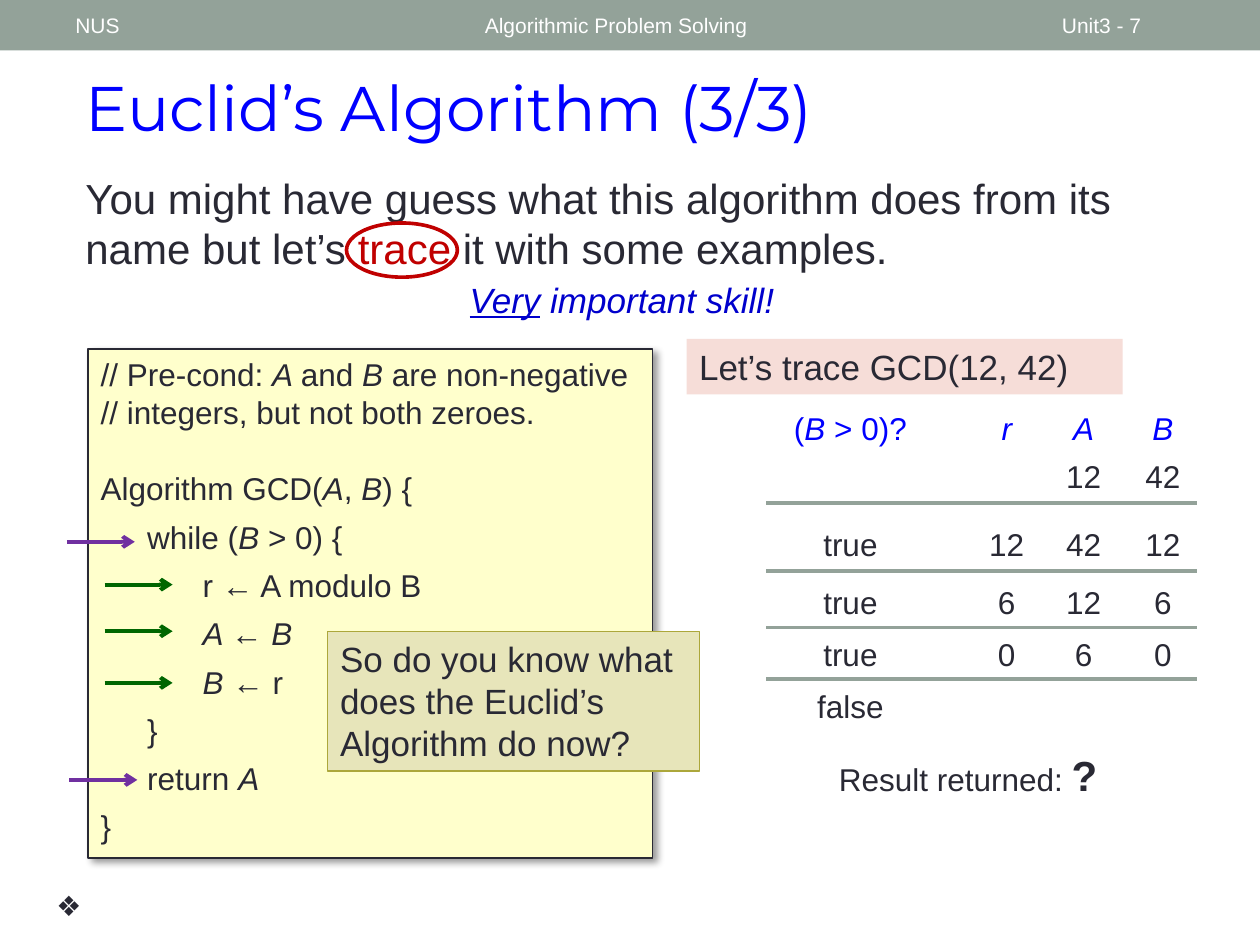
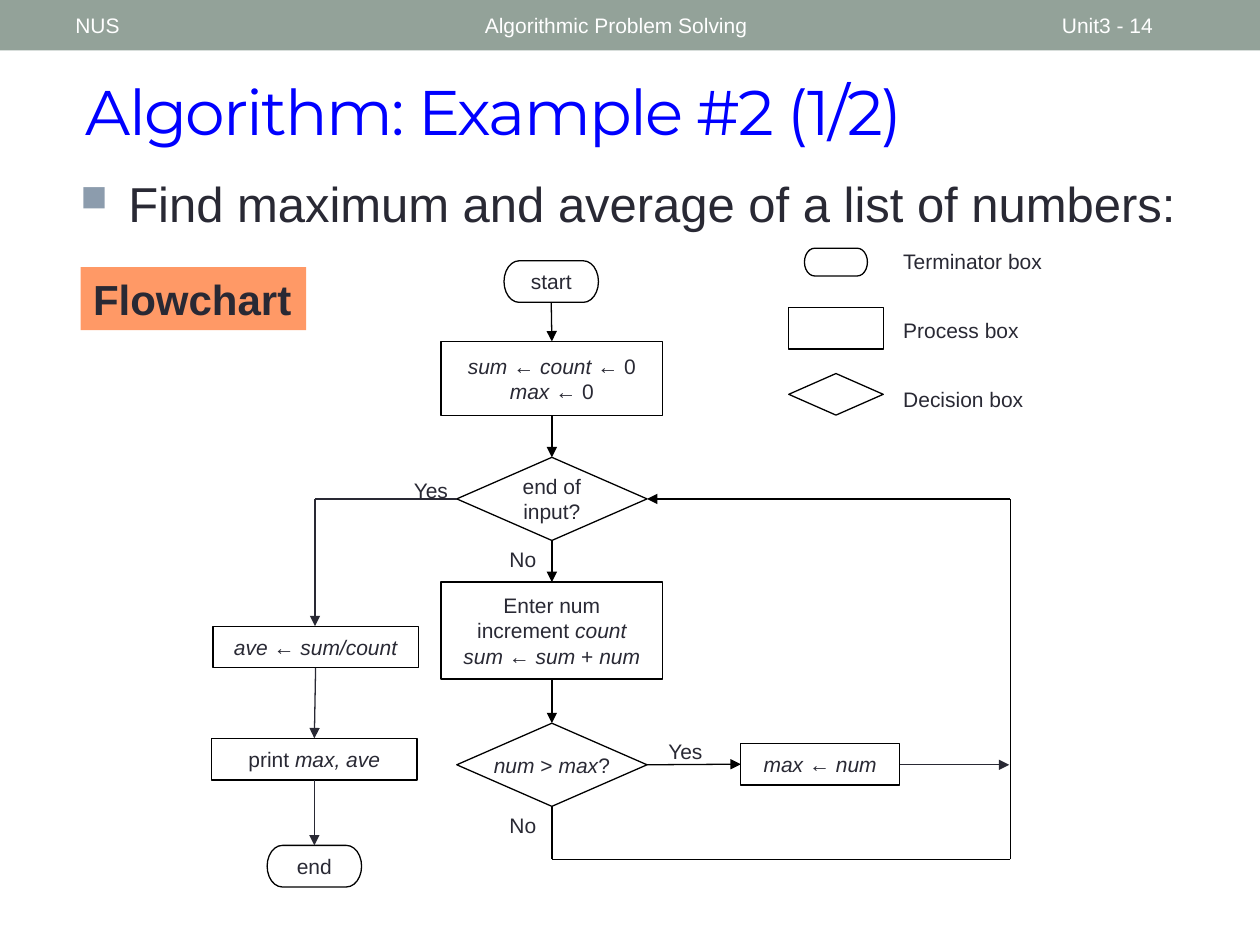
import lxml.etree
import pptx
import pptx.dml.color
import pptx.enum.shapes
import pptx.enum.text
import pptx.oxml.ns
import pptx.util

SHAPE = pptx.enum.shapes.MSO_SHAPE
LEFT, CENTER = pptx.enum.text.PP_ALIGN.LEFT, pptx.enum.text.PP_ALIGN.CENTER
TOP, MIDDLE = pptx.enum.text.MSO_ANCHOR.TOP, pptx.enum.text.MSO_ANCHOR.MIDDLE
Pt = pptx.util.Pt
rgb = pptx.dml.color.RGBColor.from_string
qn = pptx.oxml.ns.qn
SubElement = lxml.etree.SubElement

INK, WHITE, BLACK = "292934", "FFFFFF", "000000"
SAGE, BLUE, RED = "93A299", "0000FF", "C00000"
GREEN, PURPLE = "006600", "7030A0"

presentation = pptx.Presentation()
presentation.slide_width = pptx.util.Inches(10)
presentation.slide_height = pptx.util.Inches(7.5)
COLUMN = presentation.slide_width / 100
ROW = presentation.slide_height / 75


def add_box(slide, place, lines=(), size=12, color=INK, align=LEFT, anchor=TOP,
            kind=None, fill=None, outline=None, weight=0.75):
    """Add a text box, or a shape of the given kind, placed in grid columns and rows.

    Text between asterisks is italic.
    """
    left, top, width, height = place
    frame = [round(n) for n in (left * COLUMN, top * ROW, width * COLUMN, height * ROW)]
    if kind is None:
        box = slide.shapes.add_textbox(*frame)
    else:
        box = slide.shapes.add_shape(kind, *frame)
        box.shadow.inherit = False
        if fill:
            box.fill.solid()
            box.fill.fore_color.rgb = rgb(fill)
        else:
            box.fill.background()
        if outline:
            box.line.color.rgb = rgb(outline)
            box.line.width = Pt(weight)
        else:
            box.line.fill.background()
    text_frame = box.text_frame
    text_frame.word_wrap = True
    text_frame.vertical_anchor = anchor
    for index, line in enumerate(lines):
        paragraph = text_frame.add_paragraph() if index else text_frame.paragraphs[0]
        paragraph.alignment = align
        paragraph.font.name = "Arial"
        paragraph.font.size = Pt(size)
        paragraph.font.color.rgb = rgb(color)
        for position, piece in enumerate(line.split("*")):
            if piece:
                run = paragraph.add_run()
                run.text = piece
                if position % 2:
                    run.font.italic = True
    return box


def add_line(slide, start, end, color=BLACK, weight=0.75, head=None):
    """Add a straight line between two grid points, with an optional arrowhead at the end."""
    (x1, y1), (x2, y2) = start, end
    line = slide.shapes.add_connector(
        pptx.enum.shapes.MSO_CONNECTOR.STRAIGHT,
        round(x1 * COLUMN), round(y1 * ROW), round(x2 * COLUMN), round(y2 * ROW))
    line.line.color.rgb = rgb(color)
    line.line.width = Pt(weight)
    if head:
        SubElement(line.get_or_add_ln(), qn("a:tailEnd"), type=head)
    SubElement(line.element.spPr, qn("a:effectLst"))
    return line


# Shared look: header band on the layout, title and header texts on each slide
layout = presentation.slide_layouts[5]
for placeholder in list(layout.placeholders)[1:]:
    placeholder.element.getparent().remove(placeholder.element)

slides = []
for title_text, title_top, number in (("Euclid’s Algorithm (3/3)", 4.7, 7),
                                      ("Algorithm: Example #2 (1/2)", 5, 14)):
    slide = presentation.slides.add_slide(layout)
    slides.append(slide)
    if len(slides) == 1:
        band = add_box(slide, (0, 0, 100, 4), kind=SHAPE.RECTANGLE, fill=SAGE)
        layout.shapes.element.insert(2, band.element)
    title = slide.shapes.title
    title.left, title.top = round(5.8 * COLUMN), round(title_top * ROW)
    title.width, title.height = round(89.2 * COLUMN), round(7.5 * ROW)
    title.text_frame.text = title_text
    title.text_frame.vertical_anchor = MIDDLE
    paragraph = title.text_frame.paragraphs[0]
    paragraph.alignment = LEFT
    paragraph.font.name = "Montserrat"
    paragraph.font.size = Pt(36)
    paragraph.font.color.rgb = rgb(BLUE)
    for text, left, width in (("NUS", 5, 31.7),
                              ("Algorithmic Problem Solving", 37.5, 45),
                              (f"Unit3 - {number}", 83.3, 11.7)):
        add_box(slide, (left, 0.2, width, 3.6), [text], color=WHITE, anchor=MIDDLE)
euclid, flowchart = slides

# Slide 1: introduction
intro = add_box(euclid, (5.8, 13.2, 83.7, 9.1),
                ["You might have guess what this algorithm does from its name "
                 "but let’s *trace* it with some examples."], size=24)
trace_run = intro.text_frame.paragraphs[0].runs[1]
trace_run.font.italic = False
trace_run.font.color.rgb = rgb(RED)
add_box(euclid, (27.5, 17.7, 8.8, 4.3), kind=SHAPE.OVAL, outline=RED, weight=2.08)
skill = add_box(euclid, (36.3, 21.6, 31.4, 4.4), ["*Very* important skill!"], 20, "0000CC")
skill.text_frame.paragraphs[0].font.italic = True
skill.text_frame.paragraphs[0].runs[0].font.underline = True

# Slide 1: code listing as (indent in columns, space before in points, text)
code_lines = (
    (0, 0, "// Pre-cond: *A *and *B *are non-negative"),
    (0, 0, "// integers, but not both zeroes."),
    (0, 22, "Algorithm GCD(*A*, *B*) {"),
    (3.7, 6, "while (*B* > 0) {"),
    (8.1, 6, "r ← A modulo B"),
    (8.1, 6, "*A *← *B*"),
    (8.1, 6, "*B* ← r"),
    (3.7, 6, "}"),
    (3.7, 6, "return *A*"),
    (0, 6, "}"),
)
code = add_box(euclid, (7, 27.7, 44.8, 40.4), [text for _, _, text in code_lines], 18,
               kind=SHAPE.RECTANGLE, fill="FFFFCC", outline=INK, weight=1)
for paragraph, (indent, space, _) in zip(code.text_frame.paragraphs, code_lines):
    paragraph._p.get_or_add_pPr().set("marL", str(round(indent * COLUMN)))
    paragraph.space_before = Pt(space)
shadow = SubElement(code.element.spPr.find(qn("a:effectLst")), qn("a:outerShdw"),
                    blurRad=str(Pt(4)), dist=str(Pt(3)), dir="2700000", algn="tl")
shadow_color = SubElement(shadow, qn("a:srgbClr"), val=BLACK)
SubElement(shadow_color, qn("a:alpha"), val="40000")

# Slide 1: trace of the calls
add_box(euclid, (54.5, 26.9, 34.6, 4.4), ["Let’s trace GCD(12, 42)"], 20,
        kind=SHAPE.RECTANGLE, fill="F6DDD8")
trace_columns = ((61, 13), (77.2, 5.4), (83.3, 5.4), (89.6, 5.4))
trace_rows = (
    (32, None, ("(*B *> 0)?", "*r*", "*A*", "*B*")),
    (35.8, 39.9, ("", "", "12", "42")),
    (41.2, 45.3, ("true", "12", "42", "12")),
    (45.8, 49.8, ("true", "6", "12", "6")),
    (49.9, 53.9, ("true", "0", "6", "0")),
    (54, None, ("false", "", "", "")),
)
for top, rule, cells in trace_rows:
    for (left, width), cell in zip(trace_columns, cells):
        if cell:
            add_box(euclid, (left, top, width, 4), [cell], 18,
                    BLUE if top == trace_rows[0][0] else INK, CENTER)
    if rule:
        add_line(euclid, (60.8, rule), (95, rule), SAGE, 2.25)
result = add_box(euclid, (65.6, 59, 24.6, 5), ["Result returned: *?*"], 18)
answer = result.text_frame.paragraphs[0].runs[1]
answer.font.italic = False
answer.font.bold = True
answer.font.size = Pt(24)

# Slide 1: step arrows, question and mark
for left, top, color in ((8.3, 46.4, GREEN), (8.3, 50.1, GREEN), (8.3, 54.2, GREEN),
                         (5.3, 43, PURPLE), (5.5, 61.9, PURPLE)):
    add_line(euclid, (left, top), (left + 5.4, top), color, 2.25, "arrow")
add_box(euclid, (26, 50.1, 29.5, 11.1),
        ["So do you know what does the Euclid’s Algorithm do now?"], 20,
        kind=SHAPE.RECTANGLE, fill="E7E5BA", outline="ACA73B")
add_box(euclid, (3.5, 70, 3.4, 3.7), ["❖"], 16, align=CENTER)

# Slide 2: title spacing, bullet and label
flowchart.shapes.title.element.xpath(".//a:defRPr")[0].set("spc", "-100")
task = add_box(flowchart, (5.4, 13.3, 90.6, 6.2),
               ["Find maximum and average of a list of numbers:"], 28)
properties = task.text_frame.paragraphs[0]._p.get_or_add_pPr()
properties.set("marL", str(round(3.8 * COLUMN)))
properties.set("indent", str(round(-3.8 * COLUMN)))
bullet_color = lxml.etree.Element(qn("a:buClr"))
SubElement(bullet_color, qn("a:srgbClr"), val="8C9CAD")
properties.insert(0, bullet_color)
properties.insert(1, lxml.etree.Element(qn("a:buSzPct"), val="75000"))
properties.insert(2, lxml.etree.Element(qn("a:buChar"), char="■"))
label = add_box(flowchart, (6.4, 21.2, 17.9, 5), ["Flowchart"], 24,
                kind=SHAPE.RECTANGLE, fill="FF9966")
label.text_frame.paragraphs[0].font.bold = True

# Slide 2: flowchart nodes
TERMINATOR = SHAPE.FLOWCHART_TERMINATOR
PROCESS = SHAPE.FLOWCHART_PROCESS
DECISION = SHAPE.FLOWCHART_DECISION
node_rows = (
    ("start", TERMINATOR, (40, 20.7, 7.5, 3.3), ["start"]),
    ("reset", PROCESS, (35, 27.1, 17.6, 5.9), ["*sum *← *count *← 0", "*max *← 0"]),
    ("input ended", DECISION, (36.25, 36.3, 15.1, 6.6), ["end of input?"]),
    ("enter", PROCESS, (35, 46.2, 17.6, 7.7),
     ["Enter num", "increment *count*", "*sum *← *sum* + *num*"]),
    ("larger", DECISION, (36.25, 57.4, 15.1, 6.6), ["*num *> *max*?"]),
    ("update", PROCESS, (58.8, 59, 12.6, 3.3), ["*max *← *num*"]),
    ("average", PROCESS, (16.9, 49.7, 16.3, 3.3), ["*ave *← *sum/count*"]),
    ("print", PROCESS, (16.8, 58.6, 16.3, 3.3), ["print *max, ave*"]),
    ("end", TERMINATOR, (21.2, 67.1, 7.5, 3.3), ["end"]),
)
nodes = {}
for name, kind, place, lines in node_rows:
    node = add_box(flowchart, place, lines, align=CENTER, anchor=MIDDLE,
                   kind=kind, outline=BLACK)
    frame = node.text_frame
    frame.margin_left = frame.margin_right = frame.margin_top = frame.margin_bottom = 0
    nodes[name] = node
nodes["larger"].text_frame.word_wrap = False

# Slide 2: arrows between nodes, glued at sites 0 top, 1 left, 2 bottom, 3 right
for source, source_site, target, target_site, color in (
        ("start", 2, "reset", 0, BLACK), ("reset", 2, "input ended", 0, BLACK),
        ("input ended", 2, "enter", 0, BLACK), ("enter", 2, "larger", 0, BLACK),
        ("larger", 3, "update", 1, BLACK),
        ("average", 2, "print", 0, INK), ("print", 2, "end", 0, INK)):
    arrow = add_line(flowchart, (0, 0), (0, 0), color, head="triangle")
    arrow.begin_connect(nodes[source], source_site)
    arrow.end_connect(nodes[target], target_site)

# Slide 2: the loop back and the way out
for start, end, color, head in (
        ((43.8, 64), (43.8, 68.2), BLACK, None),
        ((43.8, 68.2), (80.2, 68.2), BLACK, None),
        ((80.2, 68.2), (80.2, 39.6), BLACK, None),
        ((80.2, 39.6), (51.35, 39.6), BLACK, "triangle"),
        ((71.4, 60.7), (80.1, 60.7), INK, "triangle"),
        ((36.25, 39.6), (25, 39.6), INK, None),
        ((25, 39.6), (25, 49.7), INK, "triangle")):
    add_line(flowchart, start, end, color, head=head)
for text, left, top in (("Yes", 31.2, 37.4), ("No", 38.5, 42.9),
                        ("Yes", 51.4, 58.1), ("No", 38.5, 64)):
    add_box(flowchart, (left, top, 6, 3.1), [text], align=CENTER)

# Slide 2: legend
for row, (text, kind, width, height) in enumerate((
        ("Terminator box", TERMINATOR, 5, 2.2),
        ("Process box", PROCESS, 7.5, 3.3),
        ("Decision box", DECISION, 7.5, 3.3))):
    middle = 20.8 + 5.25 * row
    add_box(flowchart, (66.35 - width / 2, middle - height / 2, width, height),
            kind=kind, outline=BLACK)
    add_box(flowchart, (70.7, 19.2 + 5.5 * row, 13.8, 3.3), [text])

presentation.save("out.pptx")
